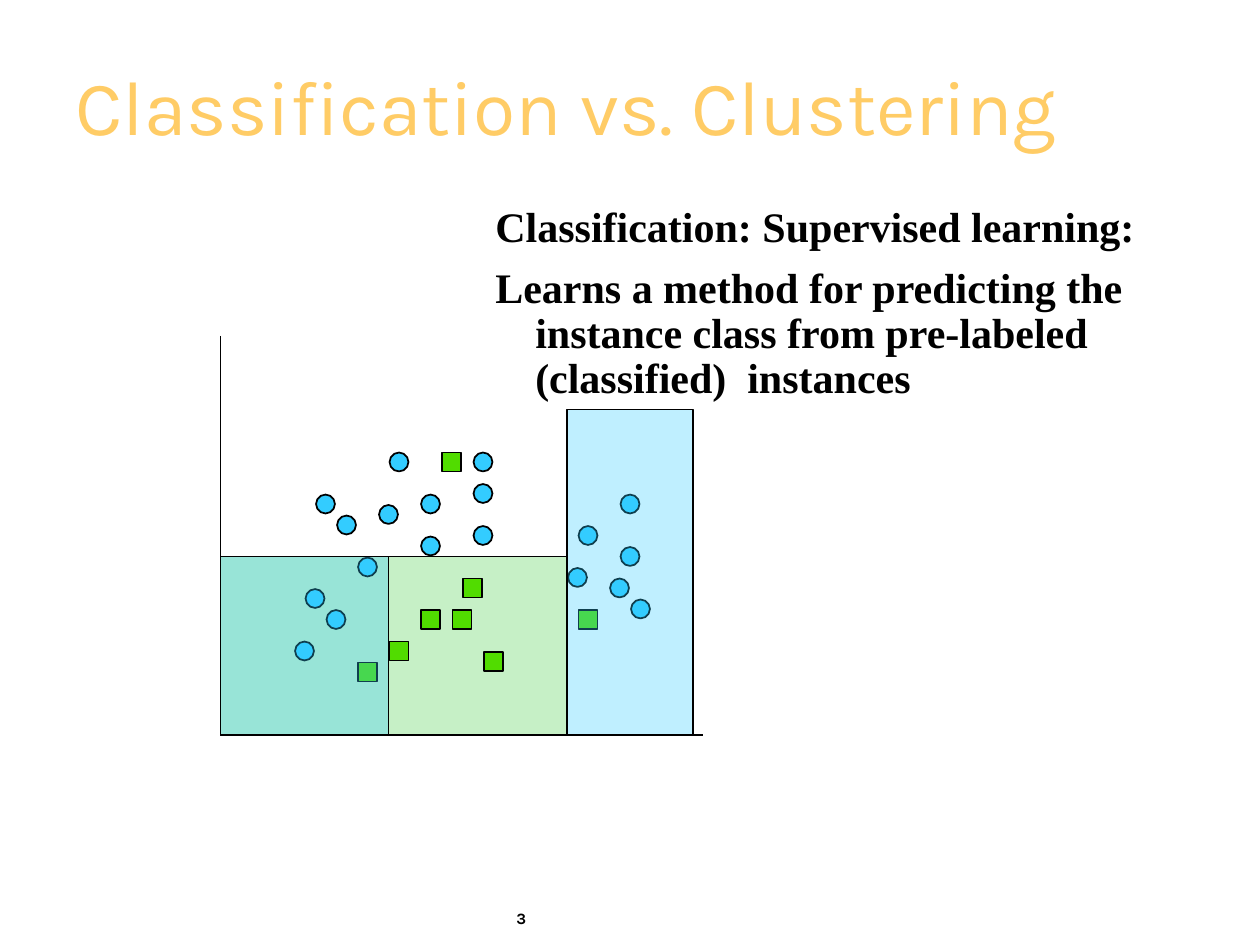
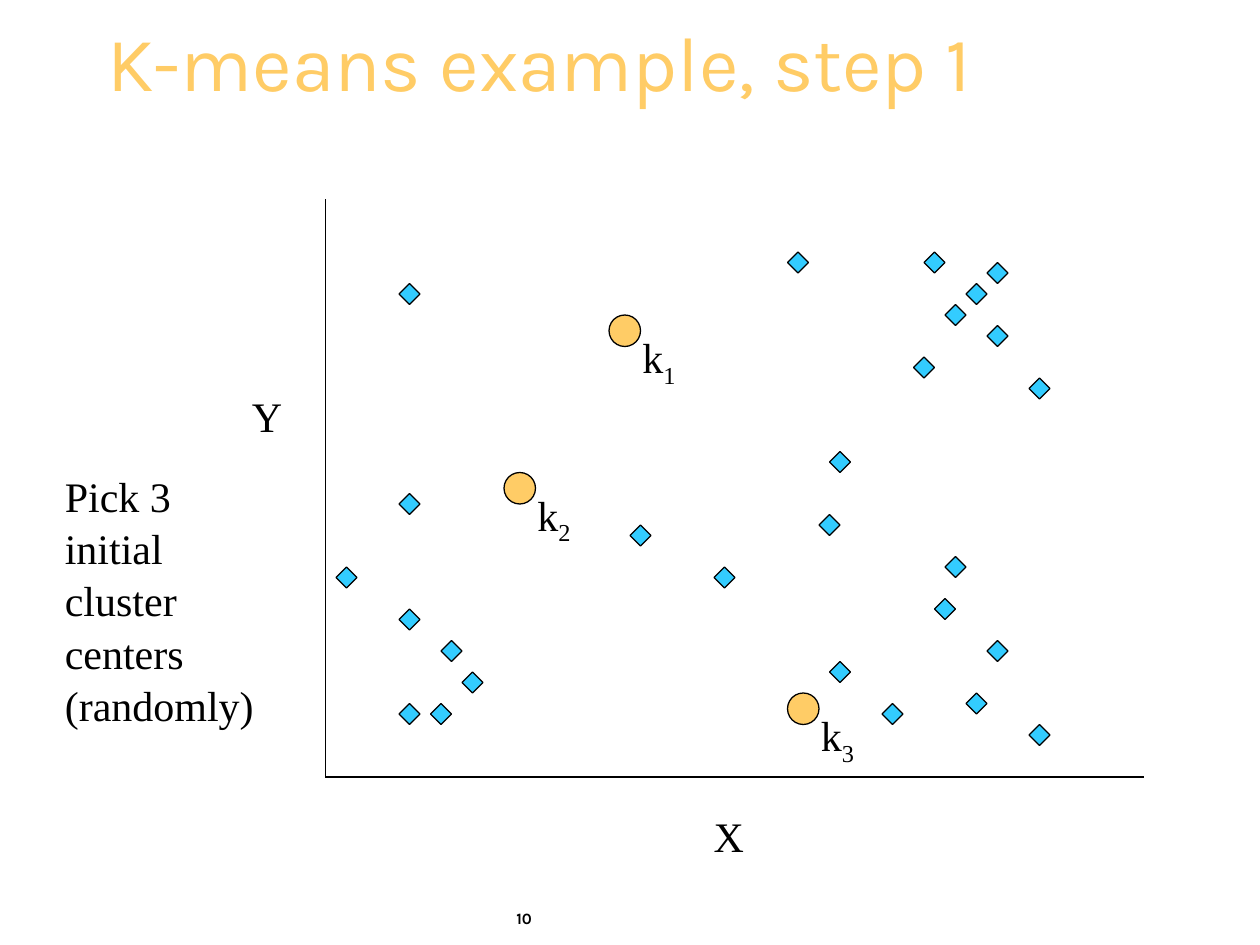
from lxml import etree
from pptx import Presentation
from pptx.dml.color import RGBColor
from pptx.enum.shapes import MSO_CONNECTOR, MSO_SHAPE
from pptx.enum.text import MSO_ANCHOR, MSO_AUTO_SIZE, PP_ALIGN
from pptx.oxml.ns import qn
from pptx.util import Pt

PX = 7620
GRID = 10
RECTANGLE = MSO_SHAPE.RECTANGLE
OVAL = MSO_SHAPE.OVAL
DIAMOND = MSO_SHAPE.DIAMOND
STRAIGHT = MSO_CONNECTOR.STRAIGHT
LEFT = PP_ALIGN.LEFT
BOTTOM = MSO_ANCHOR.BOTTOM
MIDDLE = MSO_ANCHOR.MIDDLE
NO_FIT = MSO_AUTO_SIZE.NONE

INK = "000000"
GOLD = "FFCC66"
SKY = "33CCFF"
LIME = "51DC00"
GREEN = "33CC33"
SANS = "Karla"
SERIF = "Times New Roman"

CIRCLE_POINTS = [
    (10, 16), (12, 18), (16, 17), (20, 16), (9, 25), (25, 12), (14, 22),
    (20, 20), (25, 19), (11, 27), (8, 30), (17, 12), (25, 15), (39, 16),
    (35, 19), (34, 23), (38, 24), (40, 26), (39, 21),
]
SQUARE_POINTS = [
    (20, 27), (24, 24), (23, 27), (26, 31), (35, 27), (17, 30), (14, 32), (22, 12),
]
DIAMOND_POINTS = [
    (12, 43), (14, 46), (11, 49), (8, 40), (8, 9), (8, 29), (8, 49), (2, 36),
    (30, 32), (58, 6), (64, 7), (62, 9), (60, 11), (64, 13), (68, 18), (45, 6),
    (49, 25), (49, 45), (54, 49), (59, 39), (48, 31), (38, 36), (64, 43),
    (62, 48), (60, 35), (68, 51), (57, 16),
]
CLUSTER_CENTERS = [(285, 125), (185, 275), (455, 485)]


def emu(*lengths):
    return [length * PX for length in lengths]


def rgb(color):
    return RGBColor.from_string(color)


def style_font(font, size, face, color=INK, bold=False):
    font.size = Pt(size)
    font.name = face
    font.color.rgb = rgb(color)
    font.bold = bold


def add_figure(slide, preset, box, color, weight=0.75, opacity=100):
    figure = slide.shapes.add_shape(preset, *emu(*box))
    figure.shadow.inherit = False
    figure.fill.solid()
    figure.fill.fore_color.rgb = rgb(color)
    figure.line.color.rgb = rgb(INK)
    figure.line.width = Pt(weight)
    if opacity < 100:
        fill_color = figure.fill._xPr.find(qn("a:solidFill"))[0]
        etree.SubElement(fill_color, qn("a:alpha")).set("val", str(opacity * 1000))


def add_markers(slide, preset, box, points, size, color, weight):
    left, top = box[:2]
    for column, row in points:
        corner = (left + column * GRID - size // 2, top + row * GRID - size // 2)
        add_figure(slide, preset, (*corner, size, size), color, weight)


def add_axes(slide, box, weight):
    left, top, width, height = box
    base = top + height
    for ends in ((left, top, left, base), (left, base, left + width, base)):
        axis = slide.shapes.add_connector(STRAIGHT, *emu(*ends))
        axis.line.color.rgb = rgb(INK)
        axis.line.width = Pt(weight)
        etree.SubElement(axis._element.spPr, qn("a:effectLst"))


def add_text(slide, box, text, size=24, face=SERIF, bold=False, wrap=True):
    frame = slide.shapes.add_textbox(*emu(*box)).text_frame
    frame.word_wrap = wrap
    frame.text = text
    for paragraph in frame.paragraphs:
        for run in paragraph.runs:
            style_font(run.font, size, face, bold=bold)
    return frame


def add_titled_slide(deck, title_box, title, anchor, number):
    slide = deck.slides.add_slide(deck.slide_layouts[5])
    heading = slide.shapes.title
    heading.left, heading.top, heading.width, heading.height = emu(*title_box)
    frame = heading.text_frame
    frame.text = title
    frame.word_wrap = True
    frame.auto_size = NO_FIT
    frame.vertical_anchor = anchor
    paragraph = frame.paragraphs[0]
    paragraph.alignment = LEFT
    paragraph.line_spacing = 0.85
    style_font(paragraph.runs[0].font, 44, SANS, GOLD)
    add_text(slide, (480, 860, 122, 40), str(number), 9, SANS, bold=True)
    return slide


def add_definition(slide, box):
    frame = add_text(
        slide, box,
        "Classification: Supervised learning:\n"
        "Learns a method for predicting the instance class "
        "from pre-labeled (classified)  instances",
        bold=True,
    )
    hang = 38 * PX
    for index, paragraph in enumerate(frame.paragraphs):
        paragraph.line_spacing = 0.9
        if index:
            paragraph.space_before = Pt(9)
        properties = paragraph._p.get_or_add_pPr()
        properties.set("marL", str(hang))
        properties.set("indent", str(-hang))


def add_class_regions(slide, box):
    left, top, width, height = box
    low = 210
    add_figure(slide, RECTANGLE, (left, top + low, 330, height - low), GREEN, opacity=28)
    add_axes(slide, box, 1)
    add_markers(slide, RECTANGLE, box, SQUARE_POINTS, 18, LIME, 1)
    add_markers(slide, OVAL, box, CIRCLE_POINTS, 18, SKY, 1)
    for x, y, region_width in ((330, 70, 120), (0, low, 160)):
        region = (left + x, top + y, region_width, height - y)
        add_figure(slide, RECTANGLE, region, SKY, opacity=31)


def add_cluster_center(slide, center, number):
    x, y = center
    add_figure(slide, OVAL, (x - 15, y - 15, 30, 30), GOLD)
    frame = add_text(slide, (x + 5, y - 5, 70, 67), "k")
    subscript = frame.paragraphs[0].add_run()
    subscript.text = str(number)
    style_font(subscript.font, 24, SERIF)
    subscript._r.get_or_add_rPr().set("baseline", "-25000")


def add_cluster_plot(slide, box):
    left, top, width, height = box
    add_markers(slide, DIAMOND, box, DIAMOND_POINTS, 20, SKY, 0.75)
    for number, (x, y) in enumerate(CLUSTER_CENTERS, 1):
        add_cluster_center(slide, (left + x, top + y), number)
    add_axes(slide, box, 0.75)
    add_text(slide, (left + 358, top + height + 26, 53, 60), "X", wrap=False)
    add_text(slide, (left - 82, top + 176, 53, 60), "Y", wrap=False)


def add_step_note(slide, box):
    note = "Pick 3\ninitial\ncluster\ncenters\n(randomly)"
    for paragraph in add_text(slide, box, note, wrap=False).paragraphs:
        paragraph.line_spacing = 1.04


def build_classification(deck):
    slide = add_titled_slide(
        deck, (60, 30, 1090, 120), "Classification vs. Clustering", BOTTOM, 3)
    add_definition(slide, (460, 190, 670, 200))
    add_class_regions(slide, (210, 320, 460, 380))


def build_k_means(deck):
    slide = add_titled_slide(
        deck, (90, 30, 1020, 70), "K-means example, step 1", MIDDLE, 10)
    add_cluster_plot(slide, (310, 190, 780, 550))
    add_step_note(slide, (50, 440, 204, 300))


def main():
    deck = Presentation()
    deck.slide_width, deck.slide_height = emu(1200, 900)
    build_classification(deck)
    build_k_means(deck)
    deck.save("out.pptx")


if __name__ == "__main__":
    main()
